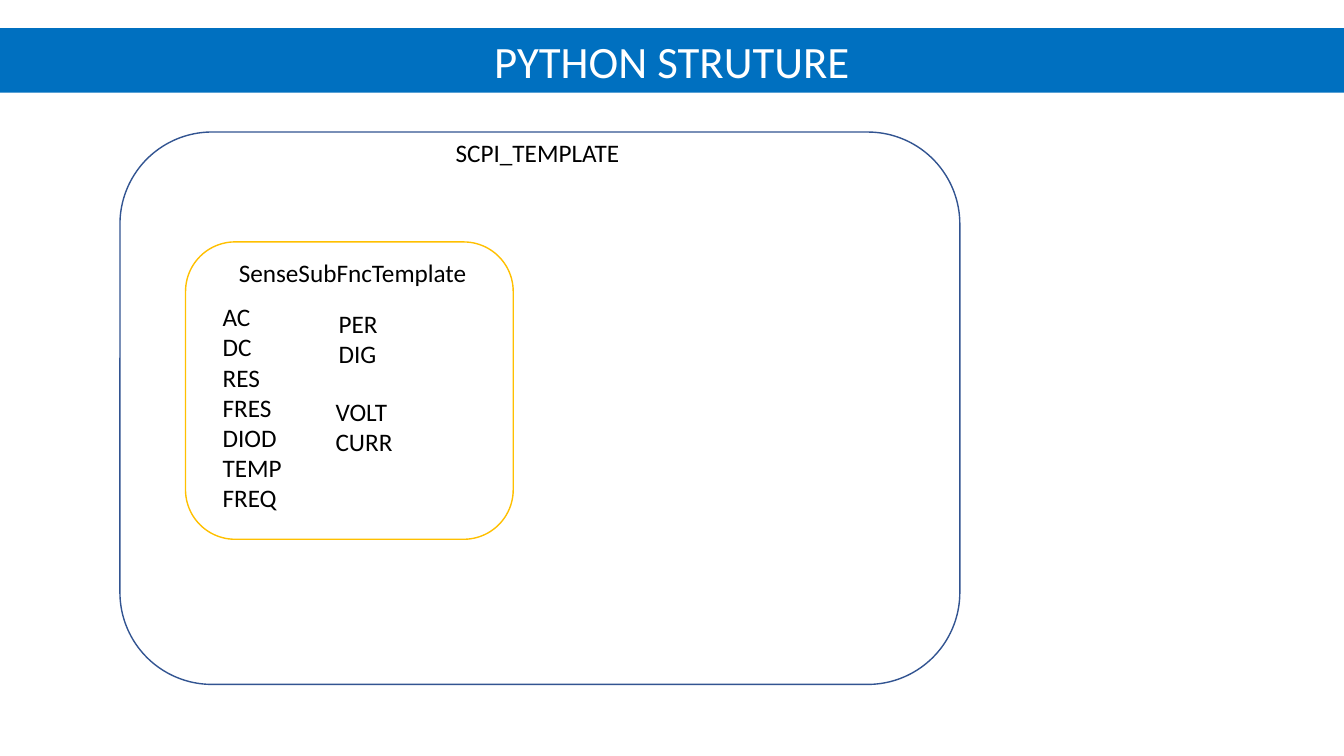
from dataclasses import dataclass

from pptx import Presentation
from pptx.dml.color import RGBColor
from pptx.enum.shapes import MSO_SHAPE
from pptx.enum.text import MSO_ANCHOR, MSO_AUTO_SIZE, PP_ALIGN
from pptx.slide import Slide
from pptx.text.text import TextFrame
from pptx.util import Inches, Pt

ROUND = MSO_SHAPE.ROUNDED_RECTANGLE
MIDDLE, TOP = MSO_ANCHOR.MIDDLE, MSO_ANCHOR.TOP
CENTER, LEFT = PP_ALIGN.CENTER, PP_ALIGN.LEFT
NO_FIT = MSO_AUTO_SIZE.NONE
TITLE_ONLY = 5
FONT = "Calibri"
WIDTH, HEIGHT = 13.33, 7.5


@dataclass
class Frame:
    left: float
    top: float
    width: float
    height: float
    line: str


@dataclass
class Label:
    left: float
    top: float
    width: float
    height: float
    text: str


FRAMES = [
    Frame(1.19, 1.31, 8.33, 5.48, "325491"),
    Frame(1.84, 2.4, 3.25, 2.95, "FFC000"),
]
LABELS = [
    Label(4.42, 1.31, 1.88, 0.4, "SCPI_TEMPLATE"),
    Label(2.27, 2.5, 2.58, 0.4, "SenseSubFncTemplate"),
    Label(2.11, 2.94, 1.16, 2.22, "AC\nDC\nRES\nFRES\nDIOD\nTEMP\nFREQ"),
    Label(3.26, 3.01, 1.16, 0.71, "PER\nDIG"),
    Label(3.23, 3.88, 0.95, 0.71, "VOLT\nCURR"),
]


def color(code: str) -> RGBColor:
    return RGBColor.from_string(code)


def write(frame: TextFrame, text: str, size: int, ink: str,
          align: PP_ALIGN, anchor: MSO_ANCHOR) -> None:
    frame.text = text
    frame.word_wrap = True
    frame.auto_size = NO_FIT
    frame.vertical_anchor = anchor
    for para in frame.paragraphs:
        para.alignment = align
        for run in para.runs:
            run.font.name = FONT
            run.font.size = Pt(size)
            run.font.color.rgb = color(ink)


def add_title(slide: Slide, text: str) -> None:
    title = slide.shapes.title
    title.left, title.top = Inches(0), Inches(0.28)
    title.width, title.height = Inches(WIDTH), Inches(0.64)
    title.fill.solid()
    title.fill.fore_color.rgb = color("0070C0")
    write(title.text_frame, text, 32, "FFFFFF", CENTER, MIDDLE)


def add_frame(slide: Slide, item: Frame) -> None:
    shape = slide.shapes.add_shape(
        ROUND, Inches(item.left), Inches(item.top),
        Inches(item.width), Inches(item.height))
    shape.shadow.inherit = False
    shape.fill.background()
    shape.line.color.rgb = color(item.line)
    shape.line.width = Pt(1)


def add_label(slide: Slide, item: Label) -> None:
    box = slide.shapes.add_textbox(
        Inches(item.left), Inches(item.top),
        Inches(item.width), Inches(item.height))
    write(box.text_frame, item.text, 18, "000000", LEFT, TOP)


def main() -> None:
    deck = Presentation()
    deck.slide_width, deck.slide_height = Inches(WIDTH), Inches(HEIGHT)
    slide = deck.slides.add_slide(deck.slide_layouts[TITLE_ONLY])

    # Title band
    add_title(slide, "PYTHON STRUTURE")

    # Nested template frames
    for item in FRAMES:
        add_frame(slide, item)

    # Names and commands inside the frames
    for item in LABELS:
        add_label(slide, item)

    deck.save("out.pptx")


if __name__ == "__main__":
    main()
